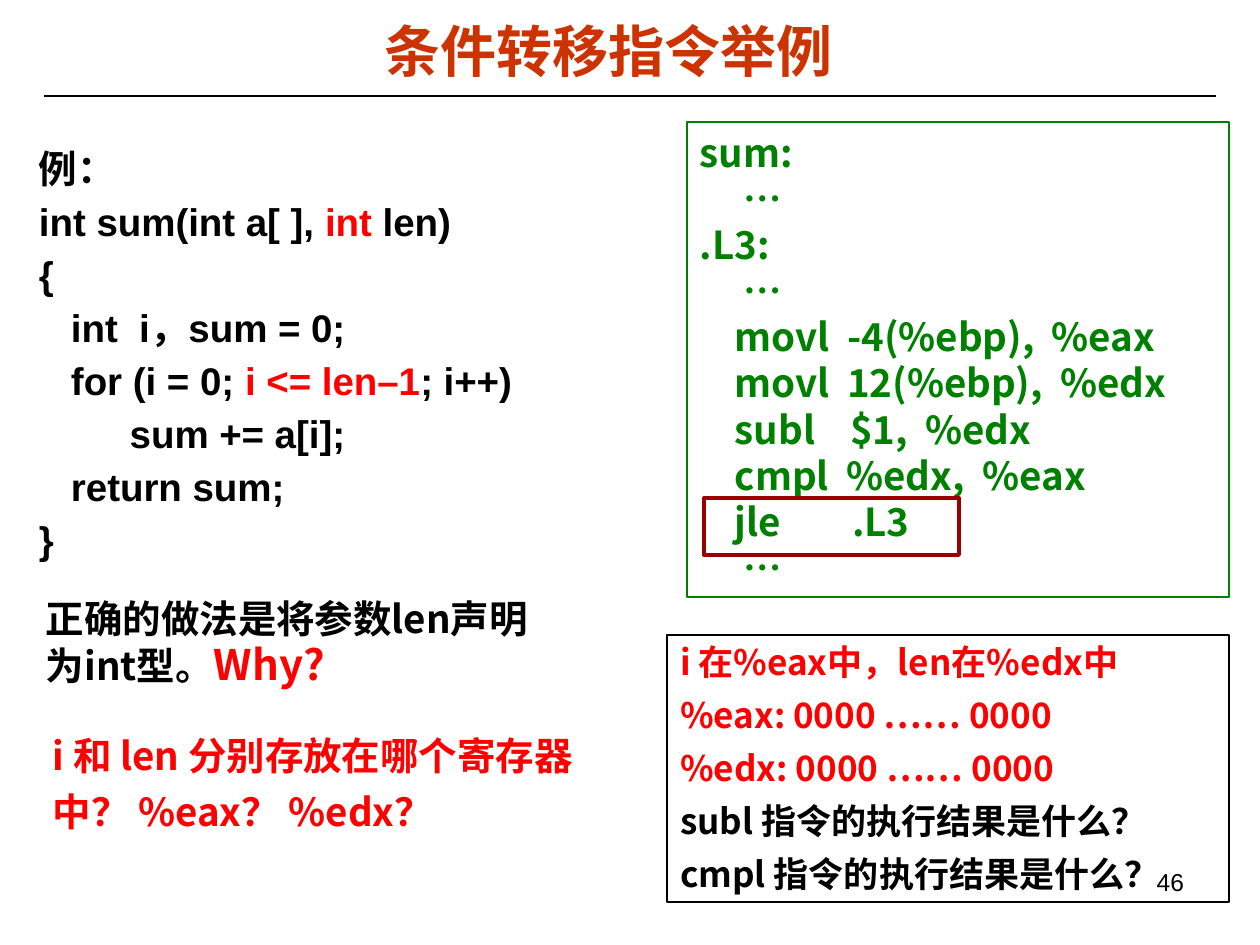
from dataclasses import dataclass

from lxml.etree import SubElement
from pptx import Presentation
from pptx.dml.color import RGBColor
from pptx.enum.shapes import MSO_CONNECTOR as Connector, MSO_SHAPE as Shape
from pptx.enum.text import MSO_ANCHOR as Anchor, PP_ALIGN as Align
from pptx.oxml.ns import qn
from pptx.util import Emu, Inches, Pt

PX_PER_INCH = 126


def px(length):
    return Emu(round(length * Inches(1) / PX_PER_INCH))


@dataclass(frozen=True)
class TextStyle:
    """Type of one text block; line is its exact line pitch in points."""
    font: str
    size: int
    color: str
    bold: bool = True
    line: float = None
    before: float = 0


class Theme:
    black, white, red = "000000", "FFFFFF", "FF0000"
    green, maroon, orange = "008000", "990000", "CC3300"
    latin, cjk = "Arial", "Noto Sans CJK SC"
    thin, thick = 0.75, 2.25
    emphasis = 24

    title = TextStyle(latin, 32, orange)
    c_code = TextStyle(latin, 22, black, line=30.3)
    assembly = TextStyle(cjk, 22, green, line=26.4)
    note = TextStyle(cjk, 22, black, line=27.6)
    registers = TextStyle(cjk, 20, red, line=24, before=6.2)
    question = TextStyle(cjk, 22, red, line=31.7)
    page = TextStyle(latin, 14, black, bold=False)


class SlideBuilder:
    def __init__(self, slide, theme):
        self.slide = slide
        self.theme = theme

    def rule(self, x1, y1, x2, y2):
        rule = self.slide.shapes.add_connector(
            Connector.STRAIGHT, px(x1), px(y1), px(x2), px(y2))
        rule.line.color.rgb = RGBColor.from_string(self.theme.black)
        rule.line.width = Pt(self.theme.thin)
        SubElement(rule._element.spPr, qn("a:effectLst"))

    def frame(self, box, color, width, fill=None):
        frame = self.slide.shapes.add_shape(Shape.RECTANGLE, *map(px, box))
        frame.shadow.inherit = False
        frame.line.color.rgb = RGBColor.from_string(color)
        frame.line.width = Pt(width)
        if fill:
            frame.fill.solid()
            frame.fill.fore_color.rgb = RGBColor.from_string(fill)
        else:
            frame.fill.background()
        return frame

    def text(self, box, lines, style, **layout):
        area = self.slide.shapes.add_textbox(*map(px, box))
        self.fill_text(area, lines, style, **layout)

    def fill_text(self, area, lines, style, anchor=Anchor.TOP,
                  align=Align.LEFT, inset=(13, 6), hanging=0):
        """Fill a shape; a line is a string or a list of (text, color, size)."""
        body = area.text_frame
        body.word_wrap = True
        body.vertical_anchor = anchor
        body.margin_left = body.margin_right = px(inset[0])
        body.margin_top = body.margin_bottom = px(inset[1])
        for number, line in enumerate(lines):
            paragraph = body.add_paragraph() if number else body.paragraphs[0]
            paragraph.alignment = align
            if style.line:
                paragraph.line_spacing = Pt(style.line)
            if number and style.before:
                paragraph.space_before = Pt(style.before)
            if hanging:
                properties = paragraph._p.get_or_add_pPr()
                properties.set("marL", str(px(hanging)))
                properties.set("indent", str(-px(hanging)))
            spans = [(line,)] if isinstance(line, str) else line
            for words, *changes in spans:
                color, size = (changes + [None, None])[:2]
                run = paragraph.add_run()
                run.text = words
                self.style_font(run.font, style, color, size)

    def style_font(self, font, style, color, size):
        font.name = style.font
        font.size = Pt(size or style.size)
        font.bold = style.bold
        font.color.rgb = RGBColor.from_string(color or style.color)
        east_asian = SubElement(font._element, qn("a:ea"))
        east_asian.set("typeface", self.theme.cjk)


C_CODE = [
    "例：",
    [("int sum(int a[ ], ",), ("int", Theme.red), (" len)",)],
    "{",
    "   int  i，sum = 0;",
    [("   for (i = 0; ",), ("i <= len–1", Theme.red), ("; i++)",)],
    "\t    sum += a[i];",
    "   return sum;",
    "}",
]
ASSEMBLY = [
    "sum:",
    "     …",
    ".L3:",
    "     …",
    "    movl  -4(%ebp),  %eax",
    "    movl  12(%ebp),  %edx",
    "    subl    $1,  %edx",
    "    cmpl  %edx,  %eax",
    "    jle\t   .L3",
    "     …",
]
NOTE = [[("正确的做法是将参数len声明为int型。",),
         ("Why?", Theme.red, Theme.emphasis)]]
REGISTERS = [
    "i 在%eax中，len在%edx中",
    "%eax: 0000 …… 0000",
    "%edx: 0000 …… 0000",
    [("subl 指令的执行结果是什么？", Theme.black)],
    [("cmpl 指令的执行结果是什么？", Theme.black)],
]
QUESTION = ["i 和 len 分别存放在哪个寄存器中？ %eax？ %edx？"]


def main():
    deck = Presentation()
    deck.slide_width, deck.slide_height = Inches(10), Inches(7.5)
    theme = Theme()
    builder = SlideBuilder(deck.slides.add_slide(deck.slide_layouts[6]), theme)

    builder.rule(44, 96, 1216, 96)
    builder.text((42, 14, 1134, 73), ["条件转移指令举例"], theme.title,
                 anchor=Anchor.MIDDLE, align=Align.CENTER)
    builder.text((33, 586, 522, 110), NOTE, theme.note, anchor=Anchor.MIDDLE)
    builder.text((30, 134, 625, 432), C_CODE, theme.c_code,
                 inset=(9, 4), hanging=48)

    assembly = builder.frame((687, 122, 542, 475), theme.green, theme.thin)
    builder.fill_text(assembly, ASSEMBLY, theme.assembly, anchor=Anchor.MIDDLE)
    registers = builder.frame((667, 635, 562, 267), theme.black, theme.thin,
                              fill=theme.white)
    builder.fill_text(registers, REGISTERS, theme.registers)

    builder.text((40, 717, 556, 123), QUESTION, theme.question,
                 anchor=Anchor.MIDDLE)
    builder.frame((704, 498, 255, 57), theme.maroon, theme.thick)
    builder.text((903, 861, 294, 66), ["46"], theme.page, align=Align.RIGHT)

    deck.save("out.pptx")


if __name__ == "__main__":
    main()
